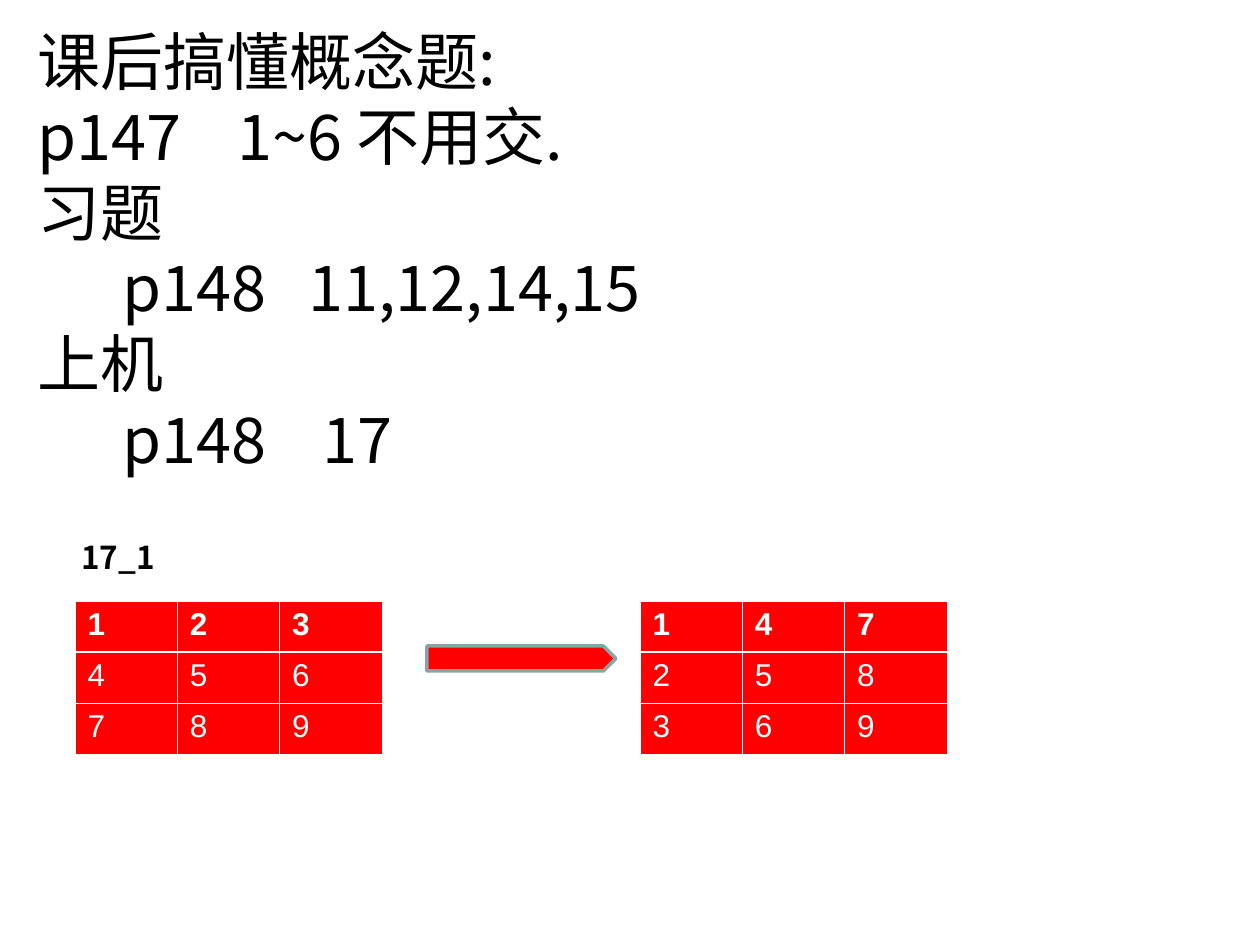
"""Homework slide with a matrix and its transpose."""
from dataclasses import dataclass
from lxml import etree
from pptx import Presentation
from pptx import util as u
from pptx.dml.color import RGBColor
from pptx.enum import shapes, text
from pptx.oxml import ns


@dataclass
class Theme:
    ink: str = "000000"
    pale: str = "FFFFFF"
    red: str = "FF0000"
    edge: str = "89A4A7"
    cjk: str = "Noto Sans CJK SC"
    sans: str = "Arial"
    big: int = 36
    small: int = 18
    thin: float = 0.45
    thick: float = 1.47


theme = Theme()
PX = u.Inches(1) / 126


def px(*nums):
    return [round(n * PX) for n in nums]


def style(para, face, size, tint, bold=False):
    for run in para.runs:
        font = run.font
        font.name, font.size, font.bold = face, u.Pt(size), bold
        font.color.rgb = RGBColor.from_string(tint)
        etree.SubElement(run._r.rPr, ns.qn("a:ea"), typeface=face)


deck = Presentation()
deck.slide_width, deck.slide_height = px(1260, 945)
slide = deck.slides.add_slide(deck.slide_layouts[6])

tasks = [
    ("课后搞懂概念题:", []),
    ("p147\t1~6 不用交.", [200]),
    ("习题", []),
    ("\tp148\t11,12,14,15", [85, 271]),
    ("上机", []),
    ("\tp148\t17", [85, 285]),
]
frame = slide.shapes.add_textbox(*px(25, 16, 1181, 466)).text_frame
frame.word_wrap = True
frame.text = "\n".join(line for line, _ in tasks)
for para, (_, stops) in zip(frame.paragraphs, tasks):
    if stops:
        tabs = etree.SubElement(para._p.get_or_add_pPr(), ns.qn("a:tabLst"))
        for stop in px(*stops):
            etree.SubElement(tabs, ns.qn("a:tab"), pos=str(stop), algn="l")
    style(para, theme.cjk, theme.big, theme.ink)

label = slide.shapes.add_textbox(*px(69, 532, 101, 50)).text_frame
label.word_wrap = False
label.auto_size = text.MSO_AUTO_SIZE.SHAPE_TO_FIT_TEXT
label.text = "17_1"
style(label.paragraphs[0], theme.cjk, theme.small, theme.ink, True)

matrix = [[1, 2, 3], [4, 5, 6], [7, 8, 9]]
for left, rows in ((75, matrix), (640, list(zip(*matrix)))):
    table = slide.shapes.add_table(3, 3, *px(left, 601, 307, 153)).table
    for r, row in enumerate(rows):
        for c, value in enumerate(row):
            cell = table.cell(r, c)
            cell.text = str(value)
            style(cell.text_frame.paragraphs[0], theme.sans, theme.small, theme.pale, r == 0)
            props = cell._tc.get_or_add_tcPr()
            for side in "LRTB":
                heavy = (r, side) in ((0, "B"), (1, "T"))
                width = u.Pt(theme.thick if heavy else theme.thin)
                line = etree.SubElement(props, ns.qn(f"a:ln{side}"), w=str(width))
                fill = etree.SubElement(line, ns.qn("a:solidFill"))
                etree.SubElement(fill, ns.qn("a:srgbClr"), val=theme.pale)
            cell.fill.solid()
            cell.fill.fore_color.rgb = RGBColor.from_string(theme.red)

arrow = slide.shapes.add_shape(shapes.MSO_SHAPE.RIGHT_ARROW, *px(427, 646, 189, 25))
arrow.shadow.inherit = False
arrow.adjustments[0], arrow.adjustments[1] = 1, 0.5
arrow.fill.solid()
arrow.fill.fore_color.rgb = RGBColor.from_string(theme.red)
arrow.line.color.rgb = RGBColor.from_string(theme.edge)
arrow.line.width = u.Pt(2)

deck.save("out.pptx")
